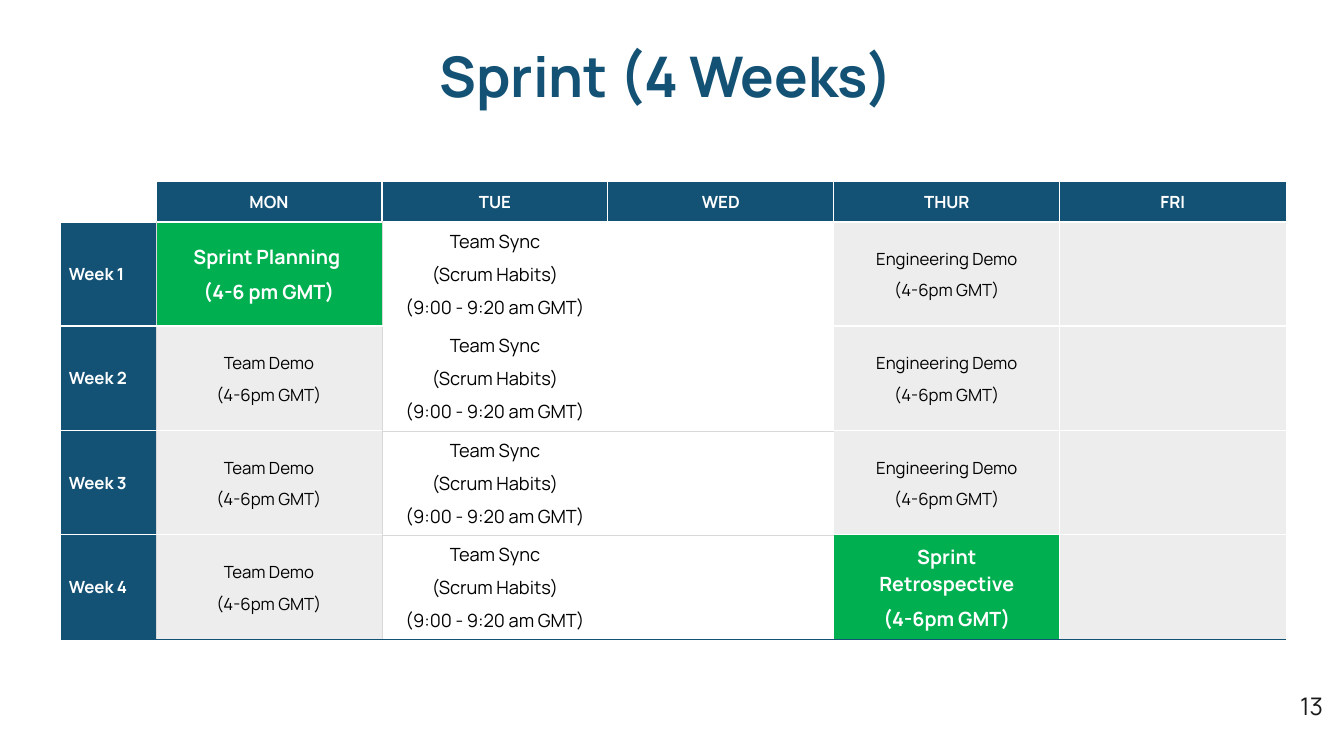
"""Build a slide with a four-week sprint calendar."""
import copy

import lxml.etree
import pptx
import pptx.dml.color
import pptx.enum.text
import pptx.oxml.ns
import pptx.util

TITLE = "Sprint (4 Weeks) "
PAGE = "13"
DAYS = ["MON", "TUE", "WED", "THUR", "FRI"]
PLANNING = ("key", ["Sprint Planning ", "(4-6 pm GMT)"])
SYNC = ("sync", ["Team Sync", "(Scrum Habits)", "(9:00 - 9:20 am GMT)"])
TEAM_DEMO = ("demo", ["Team Demo", "(4-6pm GMT)"])
ENG_DEMO = ("demo", ["Engineering Demo", "(4-6pm GMT)"])
RETRO = ("key", ["Sprint\vRetrospective", "(4-6pm GMT)"])
FREE = ("sync", [""])
OFF = ("demo", [""])
WEEKS = [
    [PLANNING, SYNC, FREE, ENG_DEMO, OFF],
    [TEAM_DEMO, SYNC, FREE, ENG_DEMO, OFF],
    [TEAM_DEMO, SYNC, FREE, ENG_DEMO, OFF],
    [TEAM_DEMO, SYNC, FREE, RETRO, OFF],
]

THEME = {
    "font": "Manrope",
    "navy": "145275", "white": "FFFFFF", "rule": "D9D9D9", "page": "1A1A1A",
    "title_size": 40, "page_size": 17.3,
    "styles": {
        "corner": (None, "FFFFFF", 12, True),
        "day": ("145275", "FFFFFF", 12, True),
        "week": ("145275", "FFFFFF", 12, True),
        "key": ("00B050", "FFFFFF", 14, True),
        "sync": (None, "000000", 13, False),
        "demo": ("EDEDED", "000000", 12, False),
    },
}

SLIDE_W, SLIDE_H = 1344, 756
TABLE_X, TABLE_Y = 61, 182
COL_WIDTHS = [95] + [226] * len(DAYS)
ROW_HEIGHTS = [40, 104, 105, 104, 105]
MARGINS = {"corner": (1, 1, 1, 1), "day": (10, 1, 10, 1), "week": (8, 4, 4, 4)}
CENTER = pptx.enum.text.PP_ALIGN.CENTER
LEFT = pptx.enum.text.PP_ALIGN.LEFT
RIGHT = pptx.enum.text.PP_ALIGN.RIGHT
MIDDLE = pptx.enum.text.MSO_ANCHOR.MIDDLE


def px(n):
    return pptx.util.Emu(round(n * 12192000 / SLIDE_W))


def rgb(value):
    return pptx.dml.color.RGBColor.from_string(value)


def write(tf, lines, size, color, bold, align, after=0):
    tf.text = "\n".join(lines)
    tf.word_wrap = True
    for p in tf.paragraphs:
        p.alignment = align
        p.space_after = pptx.util.Pt(after)
        for r in p.runs:
            r.font.name = THEME["font"]
            r.font.size = pptx.util.Pt(size)
            r.font.bold = bold
            r.font.color.rgb = rgb(color)
        for br in p._p.findall(pptx.oxml.ns.qn("a:br")):
            br.append(copy.deepcopy(p.runs[0]._r.rPr))


def add_text(s, box, text, size, color, bold, align, inset):
    sp = s.shapes.add_textbox(*map(px, box))
    tf = sp.text_frame
    tf.margin_left = tf.margin_right = px(10)
    tf.margin_top = tf.margin_bottom = px(inset)
    tf.vertical_anchor = MIDDLE
    write(tf, [text], size, color, bold, align)


def vertical_edge(row, col):
    if col in (0, len(COL_WIDTHS)):
        return None
    if row > 0 and col in (1, 2):
        return THEME["rule"], 0.5
    return THEME["white"], 1


def horizontal_edge(row, col):
    if row == 0:
        return None
    if row == len(ROW_HEIGHTS):
        return THEME["navy"], 1
    if row > 2 and col in (2, 3):
        return THEME["rule"], 0.5
    return THEME["white"], 1


def set_borders(cell, row, col):
    edges = [
        ("a:lnL", vertical_edge(row, col)),
        ("a:lnR", vertical_edge(row, col + 1)),
        ("a:lnT", horizontal_edge(row, col)),
        ("a:lnB", horizontal_edge(row + 1, col)),
    ]
    qn = pptx.oxml.ns.qn
    for i, (tag, edge) in enumerate(edges):
        ln = lxml.etree.Element(qn(tag))
        if edge:
            color, width = edge
            ln.set("w", str(pptx.util.Pt(width)))
            fill = lxml.etree.SubElement(ln, qn("a:solidFill"))
            lxml.etree.SubElement(fill, qn("a:srgbClr")).set("val", color)
        else:
            lxml.etree.SubElement(ln, qn("a:noFill"))
        cell._tc.get_or_add_tcPr().insert(i, ln)


def fill_cell(cell, style, lines):
    fill, color, size, bold = THEME["styles"][style]
    cell.vertical_anchor = MIDDLE
    margins = MARGINS.get(style, (1, 1, 1, 0))
    cell.margin_left, cell.margin_top, cell.margin_right, cell.margin_bottom = map(px, margins)
    align = LEFT if style == "week" else CENTER
    after = 0 if style in MARGINS else 6
    write(cell.text_frame, lines, size, color, bold, align, after)
    if fill:
        cell.fill.solid()
        cell.fill.fore_color.rgb = rgb(fill)
    else:
        cell.fill.background()


def add_calendar(s):
    grid = [[("corner", [""])] + [("day", [day]) for day in DAYS]]
    for n, events in enumerate(WEEKS, 1):
        grid.append([("week", [f"Week {n}"])] + events)
    box = (TABLE_X, TABLE_Y, sum(COL_WIDTHS), sum(ROW_HEIGHTS))
    table = s.shapes.add_table(len(grid), len(grid[0]), *map(px, box)).table
    table.first_row = table.horz_banding = False
    for column, width in zip(table.columns, COL_WIDTHS):
        column.width = px(width)
    for row, height in zip(table.rows, ROW_HEIGHTS):
        row.height = px(height)
    for i, cells in enumerate(grid):
        for j, (style, lines) in enumerate(cells):
            cell = table.cell(i, j)
            fill_cell(cell, style, lines)
            set_borders(cell, i, j)


def main():
    prs = pptx.Presentation()
    prs.slide_width, prs.slide_height = px(SLIDE_W), px(SLIDE_H)
    s = prs.slides.add_slide(prs.slide_layouts[6])
    add_text(s, (1252, 677, 81, 57), PAGE, THEME["page_size"], THEME["page"], False, RIGHT, 10)
    add_text(s, (27, 37, 1290, 77), TITLE, THEME["title_size"], THEME["navy"], True, CENTER, 0)
    add_calendar(s)
    prs.save("out.pptx")


if __name__ == "__main__":
    main()
